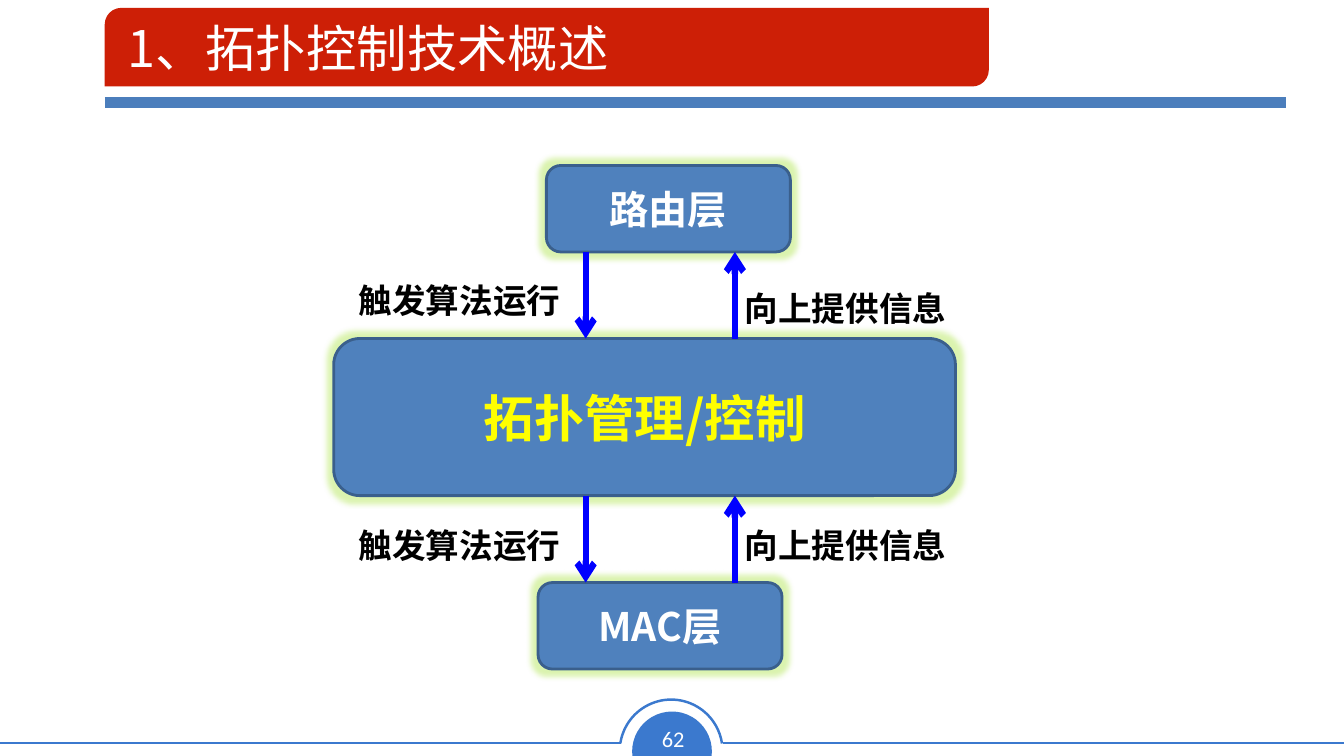
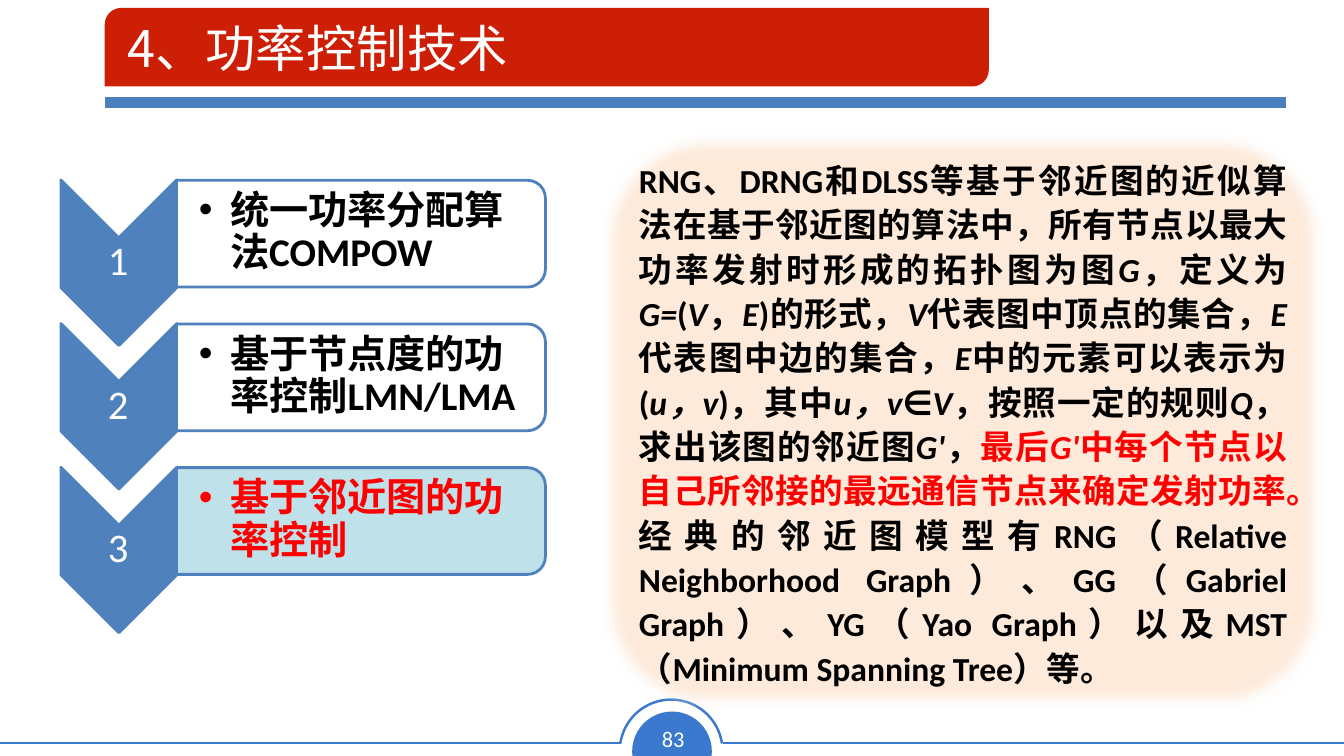
from dataclasses import dataclass

from lxml import etree
from pptx import Presentation
from pptx import util as u
from pptx.dml.color import RGBColor
from pptx.enum import shapes, text
from pptx.oxml.ns import qn

Kind = shapes.MSO_SHAPE
Align = text.PP_ALIGN
Anchor = text.MSO_ANCHOR


@dataclass(frozen=True)
class Theme:
    white: str = "FFFFFF"
    black: str = "000000"
    red: str = "FF0000"
    yellow: str = "FFFF00"
    band: str = "CD1F06"
    rule: str = "4B7EBC"
    badge: str = "3B79CE"
    box: str = "4F81BD"
    edge: str = "3A5F8C"
    arrow: str = "0000FF"
    glow: str = "A5E237"
    active: str = "BEE1EA"
    panel: str = "FDEADA"
    latin: str = "Calibri"
    cjk: str = "Noto Sans CJK SC"
    title: int = 36
    step: int = 29
    item: int = 28
    body: int = 24
    page: int = 16


T = Theme()
WIDTH, HEIGHT = 33.87, 19.05


def rgb(code):
    return RGBColor.from_string(code)


def cms(*sizes):
    return [u.Cm(size) for size in sizes]


def add(parent, tag, **attrs):
    """Append a DrawingML element."""
    node = etree.SubElement(parent, qn(tag))
    for key, value in attrs.items():
        node.set(key, str(value))
    return node


def write(frame, *paras, size, color=T.black, font=T.cjk, bold=False,
          align=Align.LEFT, anchor=Anchor.MIDDLE, wrap=True, lines=None,
          inset=None, bullet=None):
    """Fill a frame; a paragraph is a string or (string, colour) parts.

    Asterisks enclose italics; bullet is the hanging indent in cm.
    """
    frame.word_wrap = wrap
    frame.auto_size = text.MSO_AUTO_SIZE.NONE
    frame.vertical_anchor = anchor
    if inset:
        (frame.margin_left, frame.margin_top,
         frame.margin_right, frame.margin_bottom) = cms(*inset)
    for index, parts in enumerate(paras):
        para = frame.add_paragraph() if index else frame.paragraphs[0]
        para.alignment = align
        if lines:
            para.line_spacing = lines
        if bullet:
            props = para._p.get_or_add_pPr()
            props.set("marL", str(u.Cm(bullet)))
            props.set("indent", str(-u.Cm(bullet)))
            add(props, "a:buFont", typeface="Arial")
            add(props, "a:buChar", char="•")
        if isinstance(parts, str):
            parts = [(parts, color)]
        for words, tint in parts:
            for turn, piece in enumerate(words.split("*")):
                if not piece:
                    continue
                run = para.add_run()
                run.text = piece
                run.font.size = u.Pt(size)
                run.font.bold = bold
                run.font.italic = turn % 2 == 1
                run.font.color.rgb = rgb(tint)
                run.font.name = font
                add(run._r.get_or_add_rPr(), "a:ea", typeface=T.cjk)


def label(slide, place, *paras, **style):
    box = slide.shapes.add_textbox(*cms(*place))
    write(box.text_frame, *paras, **style)


def shape(slide, kind, place, fill=None, line=None, width=2, turn=0, adjust=()):
    item = slide.shapes.add_shape(kind, *cms(*place))
    item.shadow.inherit = False
    item.rotation = turn
    for index, value in enumerate(adjust):
        item.adjustments[index] = value
    if fill:
        item.fill.solid()
        item.fill.fore_color.rgb = rgb(fill)
    else:
        item.fill.background()
    if line:
        item.line.color.rgb = rgb(line)
        item.line.width = u.Pt(width)
    else:
        item.line.fill.background()
    return item


def effects(item):
    return item._element.spPr.find(qn("a:effectLst"))


def line(slide, ends, color, width, arrow=False):
    link = slide.shapes.add_connector(shapes.MSO_CONNECTOR.STRAIGHT, *cms(*ends))
    link.line.color.rgb = rgb(color)
    link.line.width = u.Pt(width)
    if arrow:
        add(link.line._get_or_add_ln(), "a:tailEnd", type="arrow")
    add(link._element.spPr, "a:effectLst")


def start(deck, title, page):
    """Add a slide with its band, rule, page badge and title."""
    slide = deck.slides.add_slide(deck.slide_layouts[5])
    unit = 0.6  # adjustment units in one degree
    shape(slide, Kind.CHORD, (15.93, 17.93, 2.01, 2.01), T.badge,
          turn=112.4, adjust=(59.62 * unit, 255.48 * unit))
    for left, right in ((18.21, WIDTH), (0, 15.65)):
        line(slide, (left, 18.72, right, 18.72), T.badge, 1.77)
    shape(slide, Kind.ARC, (15.62, 17.63, 2.59, 2.59), line=T.badge,
          width=1.77, adjust=(188.62 * unit, 351.63 * unit))
    label(slide, (16.38, 18.14, 1.17, 0.94), page, size=T.page, font=T.latin,
          color=T.white, align=Align.CENTER, wrap=False)
    line(slide, (2.64, 2.59, 32.41, 2.59), T.rule, 8)
    shape(slide, Kind.ROUND_2_DIAG_RECTANGLE, (2.64, 0.2, 22.28, 1.98),
          T.band, adjust=(0.21, 0))
    head = slide.shapes.title
    head.left, head.top, head.width, head.height = cms(2.95, 0.25, 29.39, 1.88)
    write(head.text_frame, title, size=T.title, color=T.white)
    slide.shapes._spTree.append(head._element)  # in front of the band
    return slide


def layer(slide, place, words, size=T.item, color=T.white):
    """Add a glowing box for one protocol layer."""
    box = shape(slide, Kind.ROUNDED_RECTANGLE, place, T.box, T.edge)
    glow = add(effects(box), "a:glow", rad=u.Pt(8))
    add(add(glow, "a:srgbClr", val=T.glow), "a:alpha", val=40000)
    write(box.text_frame, words, size=size, color=color, bold=True,
          align=Align.CENTER)


def step(slide, index, words, active):
    """Add a numbered chevron with its card."""
    drop = index * 3.62
    shape(slide, Kind.CHEVRON, (0.91, 5.16 + drop, 4.17, 2.92),
          T.box, T.box, turn=90)
    label(slide, (1.52, 5.99 + drop, 2.92, 1.24), str(index + 1), size=T.step,
          font=T.latin, color=T.white, align=Align.CENTER, lines=0.9,
          inset=(0.05,) * 4)
    shape(slide, Kind.ROUND_2_SAME_RECTANGLE, (7.75, 1.24 + drop, 2.69, 9.3),
          T.active if active else T.white, T.box, turn=90)
    label(slide, (4.45, 4.65 + drop, 9.17, 2.44), words, size=T.item,
          font=T.latin, color=T.red if active else T.black, bold=True,
          lines=0.9, inset=(0.56, 0.05, 0.05, 0.05), bullet=0.79)


def stack(deck):
    slide = start(deck, "1、拓扑控制技术概述", "62")
    layer(slide, (13.77, 4.17, 6.15, 2.18), "路由层")
    layer(slide, (8.41, 8.53, 15.67, 3.96), "拓扑管理/控制", T.title, T.yellow)
    layer(slide, (13.56, 14.68, 6.15, 2.18), "MAC层")
    down, up = 14.76, 18.52
    for top, low, left, right in ((6.35, 8.53, 6.93, 7.14),
                                  (12.49, 14.68, 13.11, 13.11)):
        line(slide, (down, top, down, low), T.arrow, 4.5, arrow=True)
        line(slide, (up, low, up, top), T.arrow, 4.5, arrow=True)
        for x, y, words in ((8.79, left, "触发算法运行"),
                            (up, right, "向上提供信息")):
            label(slide, (x, y, 5.59, 1.27), words, size=T.body, bold=True,
                  wrap=False)


def power(deck):
    slide = start(deck, "4、功率控制技术", "83")
    steps = ("统一功率分配算法COMPOW", "基于节点度的功率控制LMN/LMA",
             "基于邻近图的功率控制")
    for index, words in enumerate(steps):
        step(slide, index, words, active=index == 2)
    panel = shape(slide, Kind.ROUNDED_RECTANGLE, (15.14, 3.33, 18.26, 14.6),
                  T.panel)
    add(effects(panel), "a:softEdge", rad=u.Pt(10))
    graph = (
        "RNG、DRNG和DLSS等基于邻近图的近似算法在基于邻近图的算法中，"
        "所有节点以最大功率发射时形成的拓扑图为图*G*，定义为*G=*(*V*，*E*)的形式，"
        "*V*代表图中顶点的集合，*E*代表图中边的集合，*E*中的元素可以表示为"
        "(*u，v*)，其中*u，v*∈*V*，按照一定的规则*Q*，求出该图的邻近图*G'*，")
    result = "最后*G'*中每个节点以自己所邻接的最远通信节点来确定发射功率。"
    models = ("经典的邻近图模型有RNG（Relative Neighborhood Graph）、"
              "GG（Gabriel Graph）、YG（Yao Graph）以及"
              "MST（Minimum Spanning Tree）等。")
    write(panel.text_frame, [(graph, T.black), (result, T.red)], models,
          size=T.body, font=T.latin, bold=True, align=Align.JUSTIFY, lines=1.1)


def main():
    deck = Presentation()
    deck.slide_width, deck.slide_height = cms(WIDTH, HEIGHT)
    stack(deck)
    power(deck)
    deck.save("out.pptx")


if __name__ == "__main__":
    main()
